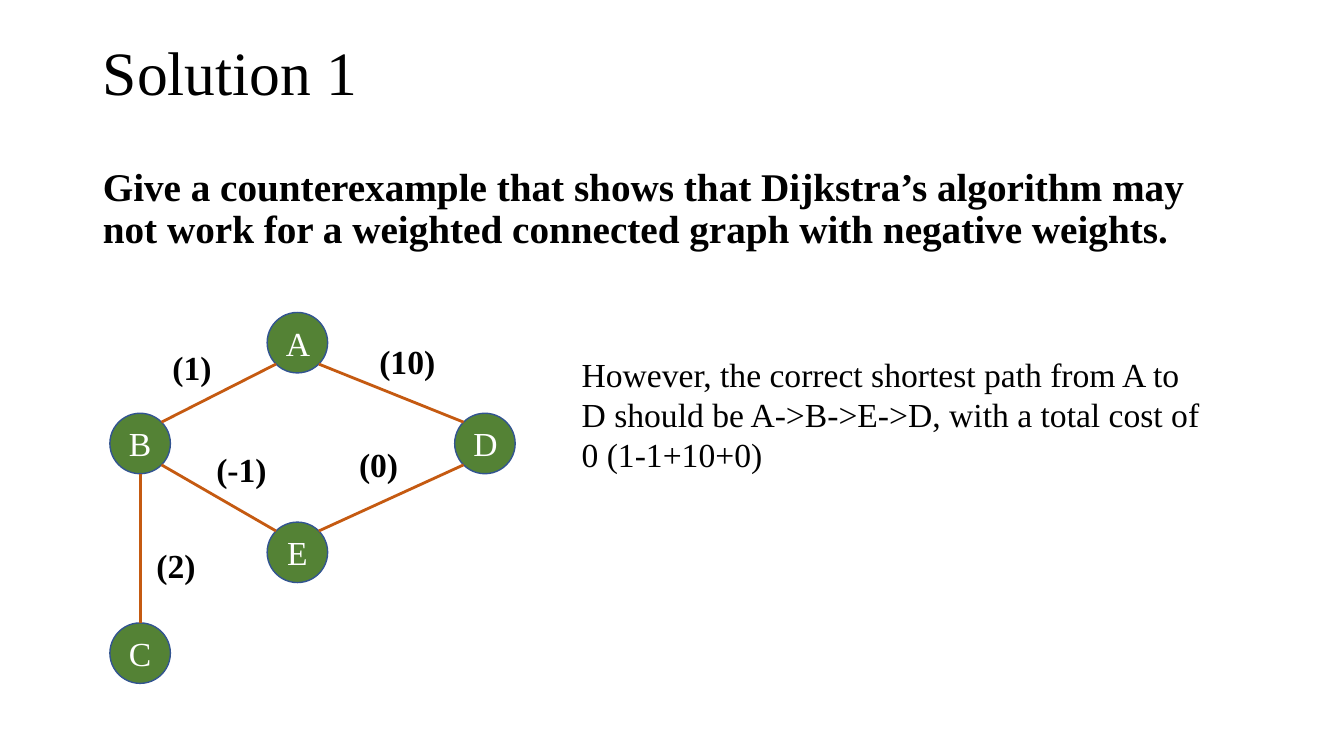
import math

import pptx
import pptx.dml.color
import pptx.enum.shapes
import pptx.enum.text
import pptx.oxml
import pptx.util

Inches = pptx.util.Inches
Pt = pptx.util.Pt
Align = pptx.enum.text.PP_ALIGN
Anchor = pptx.enum.text.MSO_ANCHOR
Fit = pptx.enum.text.MSO_AUTO_SIZE

COLORS = {"text": "000000", "node": "548235", "outline": "325491", "edge": "C55A11", "letter": "FFFFFF"}
RADIUS = 0.3
NODES = {"A": (2.95, 3.4), "B": (1.39, 4.4), "D": (4.81, 4.4), "E": (2.95, 5.48), "C": (1.39, 6.48)}
EDGES = ["AB", "BC", "BE", "DE", "AD"]
WEIGHTS = [
    ("(1)", 1.61, 3.39, 0.59),
    ("(-1)", 2.04, 4.4, 0.71),
    ("(10)", 3.66, 3.33, 0.76),
    ("(0)", 3.46, 4.35, 0.59),
    ("(2)", 1.45, 5.36, 0.59),
]


def color(name):
    return pptx.dml.color.RGBColor.from_string(COLORS[name])


def assign(target, values):
    for name, value in values.items():
        setattr(target, name, value)


class SlideBuilder:
    font = "Times New Roman"

    def __init__(self, deck):
        self.page = deck.slides.add_slide(deck.slide_layouts[1])

    def place(self, box, left, top, width, height):
        assign(box, {"left": Inches(left), "top": Inches(top), "width": Inches(width), "height": Inches(height)})

    def set_text(self, box, text, size=24, bold=False, ink="text", frame_format=None, para_format=None):
        frame = box.text_frame
        assign(frame, {"word_wrap": True, **(frame_format or {})})
        para = frame.paragraphs[0]
        assign(para, {"alignment": Align.LEFT, **(para_format or {})})
        span = para.add_run()
        span.text = text
        assign(span.font, {"name": self.font, "size": Pt(size), "bold": bold})
        span.font.color.rgb = color(ink)
        return para

    def title(self, text, *bounds):
        box = self.page.shapes.title
        self.place(box, *bounds)
        frame_format = {"vertical_anchor": Anchor.MIDDLE, "auto_size": Fit.NONE}
        self.set_text(box, text, 44, frame_format=frame_format, para_format={"line_spacing": 0.9})

    def body(self, text, *bounds):
        box = self.page.placeholders[1]
        self.place(box, *bounds)
        para_format = {"line_spacing": 0.9, "space_before": Pt(10)}
        para = self.set_text(box, text, 28, True, frame_format={"auto_size": Fit.NONE}, para_format=para_format)
        properties = para._p.get_or_add_pPr()
        properties.set("marL", "0")
        properties.set("indent", "0")
        properties.append(pptx.oxml.parse_xml(
            '<a:buNone xmlns:a="http://schemas.openxmlformats.org/drawingml/2006/main"/>'))

    def text_box(self, text, left, top, width, height):
        box = self.page.shapes.add_textbox(Inches(left), Inches(top), Inches(width), Inches(height))
        self.set_text(box, text, frame_format={"auto_size": Fit.SHAPE_TO_FIT_TEXT})

    def weight(self, text, left, top, width):
        box = self.page.shapes.add_textbox(Inches(left), Inches(top), Inches(width), Inches(0.5))
        frame_format = {"word_wrap": False, "auto_size": Fit.SHAPE_TO_FIT_TEXT}
        self.set_text(box, text, bold=True, frame_format=frame_format, para_format={"alignment": Align.CENTER})

    def node(self, letter, x, y):
        circle = self.page.shapes.add_shape(
            pptx.enum.shapes.MSO_SHAPE.OVAL,
            Inches(x - RADIUS), Inches(y - RADIUS), Inches(2 * RADIUS), Inches(2 * RADIUS))
        circle.shadow.inherit = False
        circle.fill.solid()
        circle.fill.fore_color.rgb = color("node")
        circle.line.color.rgb = color("outline")
        circle.line.width = Pt(1)
        self.set_text(circle, letter, ink="letter", frame_format={"vertical_anchor": Anchor.MIDDLE},
                      para_format={"alignment": Align.CENTER})

    def edge(self, start, end):
        (x1, y1), (x2, y2) = start, end
        reach = RADIUS if x1 == x2 else RADIUS * math.sqrt(0.5)
        dx = 0 if x1 == x2 else math.copysign(reach, x2 - x1)
        dy = math.copysign(reach, y2 - y1)
        line = self.page.shapes.add_connector(
            pptx.enum.shapes.MSO_CONNECTOR.STRAIGHT,
            Inches(x1 + dx), Inches(y1 + dy), Inches(x2 - dx), Inches(y2 - dy))
        line.line.color.rgb = color("edge")
        line.line.width = Pt(2)
        line._element.spPr.append(pptx.oxml.parse_xml(
            '<a:effectLst xmlns:a="http://schemas.openxmlformats.org/drawingml/2006/main"/>'))


def main():
    deck = pptx.Presentation()
    assign(deck, {"slide_width": Inches(13.33), "slide_height": Inches(7.5)})
    builder = SlideBuilder(deck)
    builder.title("Solution 1", 0.92, 0.02, 11.5, 1.45)
    builder.body(
        "Give a counterexample that shows that Dijkstra’s algorithm may not work "
        "for a weighted connected graph with negative weights.", 0.92, 1.61, 11.5, 5.14)
    builder.text_box(
        "However, the correct shortest path from A to D should be A->B->E->D, "
        "with a total cost of 0 (1-1+10+0)", 5.67, 3.46, 6.34, 1.31)
    for letter, center in NODES.items():
        builder.node(letter, *center)
    for start, end in EDGES:
        builder.edge(NODES[start], NODES[end])
    for weight in WEIGHTS:
        builder.weight(*weight)
    deck.save("out.pptx")


if __name__ == "__main__":
    main()
